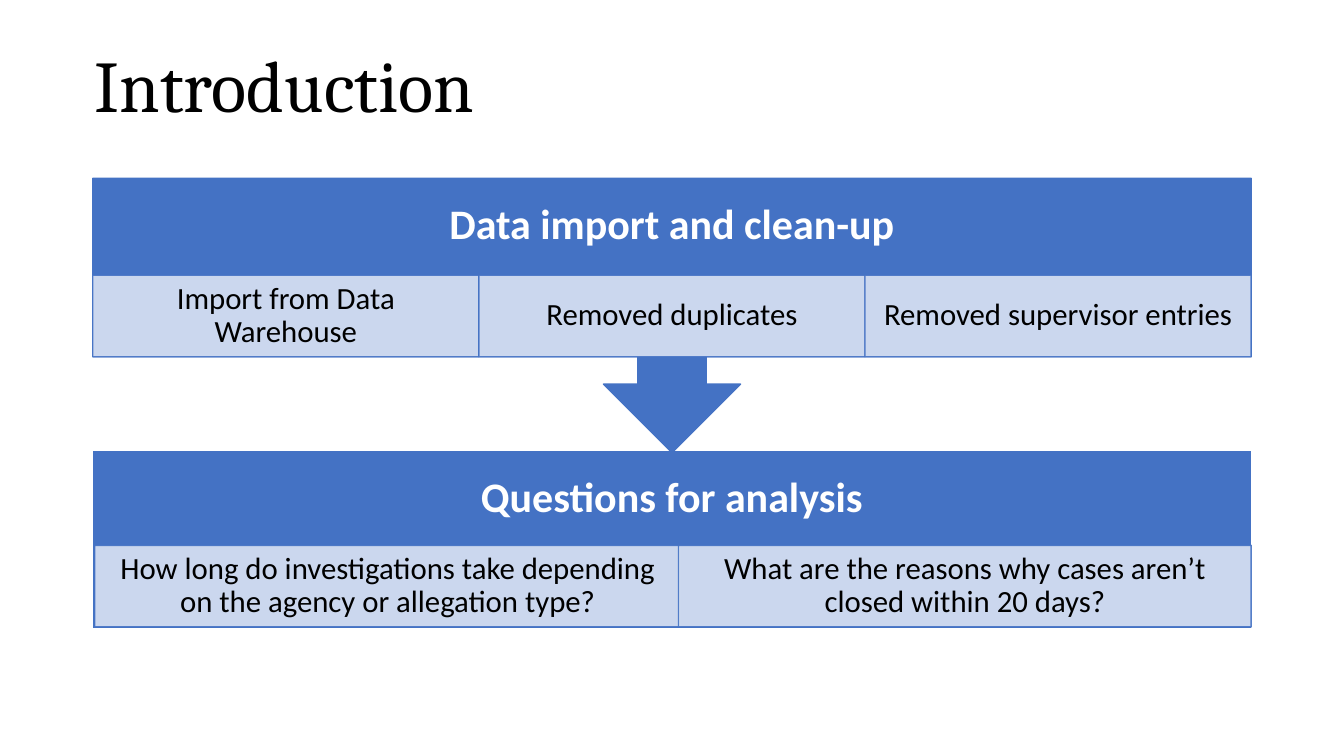
import pptx
import pptx.util
import pptx.dml.color
import pptx.enum.shapes
import pptx.enum.text
import pptx.oxml.ns
import lxml.etree

Inches = pptx.util.Inches
Shapes = pptx.enum.shapes.MSO_SHAPE
BLUE, PALE, WHITE, BLACK = "4472C4", "DAE3F3", "FFFFFF", "000000"
LEFT, WIDTH = 0.92, 11.49
HEADING_HEIGHT, CELL_HEIGHT = 0.95, 0.81


def paint(color_format, color):
    """Set a colour from a hex string."""
    color_format.rgb = pptx.dml.color.RGBColor.from_string(color)


def set_alpha(fill, percent):
    """Make a solid fill partly transparent."""
    color = fill._xPr.find(pptx.oxml.ns.qn("a:solidFill"))[0]
    alpha = lxml.etree.SubElement(color, pptx.oxml.ns.qn("a:alpha"))
    alpha.set("val", str(percent * 1000))


def write(shape, text, font, size, color, bold=False, align="CENTER"):
    """Put one formatted paragraph into a shape."""
    frame = shape.text_frame
    frame.text = text
    frame.word_wrap = True
    frame.auto_size = pptx.enum.text.MSO_AUTO_SIZE.NONE
    frame.vertical_anchor = pptx.enum.text.MSO_ANCHOR.MIDDLE
    para = frame.paragraphs[0]
    para.alignment = getattr(pptx.enum.text.PP_ALIGN, align)
    para.line_spacing = 0.9
    span = para.runs[0]
    span.font.name = font
    span.font.size = pptx.util.Pt(size)
    span.font.bold = bold
    paint(span.font.color, color)


def set_margins(shape, side, end):
    """Set the inner margins of a shape in inches."""
    frame = shape.text_frame
    frame.margin_left = frame.margin_right = Inches(side)
    frame.margin_top = frame.margin_bottom = Inches(end)


def add_box(page, kind, left, top, width, height, fill, line):
    """Add a filled and outlined preset shape."""
    box = page.shapes.add_shape(kind, Inches(left), Inches(top), Inches(width), Inches(height))
    box.shadow.inherit = False
    box.fill.solid()
    paint(box.fill.fore_color, fill)
    paint(box.line.color, line)
    box.line.width = pptx.util.Pt(1)
    return box


def add_heading(page, top, text):
    """Add the bold heading of a panel."""
    heading = page.shapes.add_textbox(
        Inches(LEFT), Inches(top), Inches(WIDTH), Inches(HEADING_HEIGHT))
    write(heading, text, "Calibri", 30, WHITE, bold=True)
    set_margins(heading, 0.23, 0.23)


def add_cells(page, top, cells):
    """Add a row of pale cells given as left, width and text."""
    for left, width, text in cells:
        cell = add_box(page, Shapes.RECTANGLE, left, top, width, CELL_HEIGHT, PALE, BLUE)
        set_alpha(cell.fill, 90)
        set_alpha(cell.line.fill, 90)
        write(cell, text, "Calibri", 22, BLACK)
        set_margins(cell, 0.17, 0.03)


def add_title(page, text):
    """Place and format the slide title."""
    title = page.shapes.title
    title.left, title.top = Inches(0.84), Inches(0.2)
    title.width, title.height = Inches(11.33), Inches(1.36)
    write(title, text, "Cambria", 52, BLACK, align="LEFT")


def main():
    """Build the slide and save it."""
    deck = pptx.Presentation()
    deck.slide_width, deck.slide_height = Inches(13.33), Inches(7.5)
    page = deck.slides.add_slide(deck.slide_layouts[5])
    add_title(page, "Introduction")

    add_box(page, Shapes.RECTANGLE, LEFT, 4.47, WIDTH, 1.77, BLUE, WHITE)
    add_heading(page, 4.47, "Questions for analysis")
    add_cells(page, 5.41, [
        (0.94, 5.81, "How long do investigations take depending on the agency or allegation type?"),
        (6.73, 5.68, "What are the reasons why cases aren’t closed within 20 days?"),
    ])

    callout = add_box(page, Shapes.UP_ARROW_CALLOUT, LEFT, 1.77, WIDTH, 2.72, BLUE, BLUE)
    callout.rotation = 180
    add_heading(page, 1.77, "Data import and clean-up")
    steps = ["Import from Data Warehouse", "Removed duplicates", "Removed supervisor entries"]
    step_width = WIDTH / len(steps)
    add_cells(page, 2.73, [
        (LEFT + index * step_width, step_width, step) for index, step in enumerate(steps)])

    deck.save("out.pptx")


if __name__ == "__main__":
    main()
